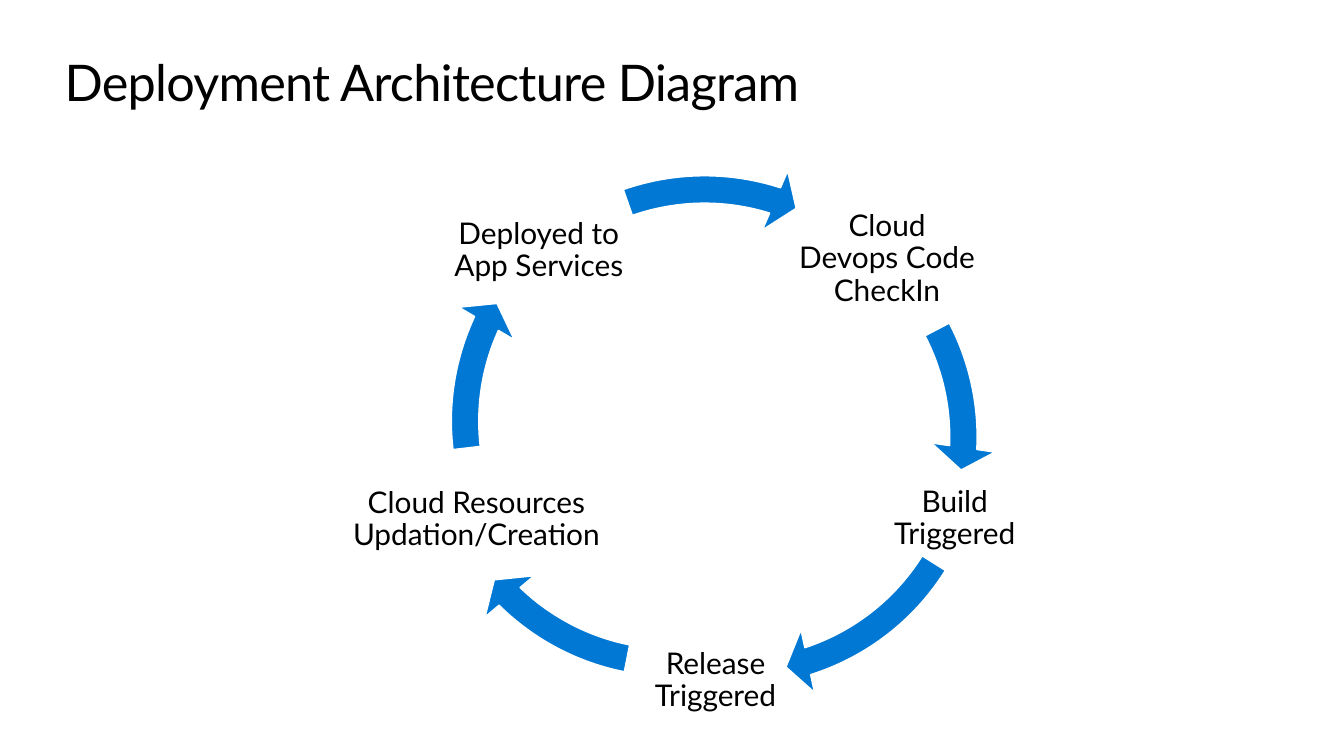
import pptx
import pptx.dml.color
import pptx.enum.shapes
import pptx.enum.text
import pptx.util
from pptx.util import Cm

BLACK = pptx.dml.color.RGBColor(0x00, 0x00, 0x00)
WHITE = pptx.dml.color.RGBColor(0xFF, 0xFF, 0xFF)
BLUE = pptx.dml.color.RGBColor(0x00, 0x78, 0xD4)
FONT_NAME = "Lato"
RING_SIZE = Cm(10.01)
DEGREE = 0.6


def set_margins(text_frame, margin):
    text_frame.margin_left = text_frame.margin_right = margin
    text_frame.margin_top = text_frame.margin_bottom = margin
    text_frame.word_wrap = True
    text_frame.auto_size = pptx.enum.text.MSO_AUTO_SIZE.NONE
    text_frame.vertical_anchor = pptx.enum.text.MSO_ANCHOR.MIDDLE


def format_font(font, size):
    font.name = FONT_NAME
    font.size = pptx.util.Pt(size)
    font.color.rgb = BLACK


presentation = pptx.Presentation()
presentation.slide_width = Cm(25.4)
presentation.slide_height = Cm(14.28)
slide = presentation.slides.add_slide(presentation.slide_layouts[5])

title = slide.shapes.title
title.left, title.top, title.width, title.height = Cm(1.22), Cm(0.97), Cm(22.96), Cm(1.14)
set_margins(title.text_frame, 0)
title.text_frame.text = "Deployment Architecture Diagram"
paragraph = title.text_frame.paragraphs[0]
paragraph.alignment = pptx.enum.text.PP_ALIGN.LEFT
run = paragraph.runs[0]
format_font(run.font, 27)
run.font._element.set("spc", "-40")

# Each step: text, label box, arrow position, arrow end and start angles
steps = [
    ("Cloud Devops Code CheckIn", (15.04, 3.56, 3.45, 2.67), (8.81, 3.25), (2.59, 332.46)),
    ("Build Triggered", (16.71, 8.92, 2.67, 1.75), (8.92, 3.3), (72.2, 32.05)),
    ("Release Triggered", (12.19, 12.09, 2.67, 1.55), (7.7, 3.12), (134.35, 101.19)),
    ("Cloud Resources\vUpdation/Creation", (6.45, 8.48, 5.11, 2.67), (8.18, 2.95), (204.79, 173.33)),
    ("Deployed to App Services", (8.46, 3.76, 3.45, 1.96), (8.31, 2.97), (287.65, 250.74)),
]

for text, label_box, arrow_position, (end_angle, start_angle) in steps:
    label = slide.shapes.add_textbox(*[Cm(length) for length in label_box])
    set_margins(label.text_frame, Cm(0.05))
    label.text_frame.text = text
    paragraph = label.text_frame.paragraphs[0]
    paragraph.alignment = pptx.enum.text.PP_ALIGN.CENTER
    paragraph.line_spacing = 0.9
    for run in paragraph.runs:
        format_font(run.font, 16)

    left, top = arrow_position
    arrow = slide.shapes.add_shape(
        pptx.enum.shapes.MSO_SHAPE.CIRCULAR_ARROW, Cm(left), Cm(top), RING_SIZE, RING_SIZE
    )
    adjustments = [0.052, 5.6 * DEGREE, end_angle * DEGREE, start_angle * DEGREE, 0.061]
    for index, value in enumerate(adjustments):
        arrow.adjustments[index] = value
    arrow.shadow.inherit = False
    arrow.fill.solid()
    arrow.fill.fore_color.rgb = BLUE
    arrow.line.color.rgb = WHITE
    arrow.line.width = pptx.util.Pt(0.85)

presentation.save("out.pptx")
